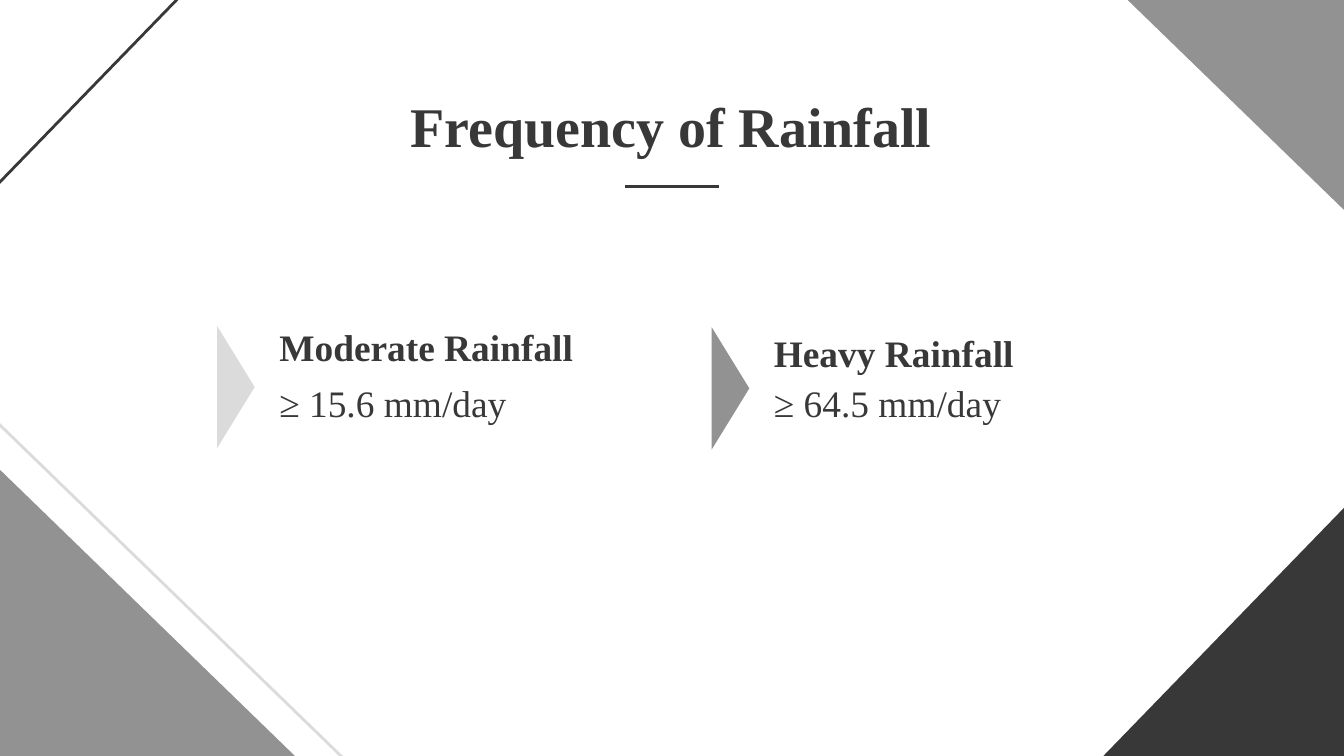
from pptx import Presentation
from pptx.dml.color import RGBColor
from pptx.enum import shapes, text
from pptx.oxml.ns import qn
from pptx.util import Inches, Pt
from lxml import etree

FONT = "Times New Roman"
COLORS = {"dark": "383838", "mid": "929292", "light": "DBDBDB"}
TITLE = "Frequency of Rainfall"

# left, top, width, height, rotation, fill, line
CORNERS = [
    (8, 3.53, 2.31, 2.24, 270, "dark", None),
    (-0.57, 2.61, 3.72, 3.61, 0, None, "light"),
    (-0.81, 2.71, 3.72, 3.61, 0, "mid", None),
    (7.36, -1, 3.72, 3.61, 180, "mid", None),
    (-0.29, -2.07, 3.72, 3.61, 90, None, "dark"),
]

# heading, threshold, left, heading width, heading height, marker top, marker colour
CATEGORIES = [
    ("Moderate Rainfall", "≥ 15.6 mm/day", 1.98, 2.51, 0.3, 2.74, "light"),
    ("Heavy Rainfall", "≥ 64.5 mm/day", 5.66, 2.7, 0.38, 2.75, "mid"),
]
HEADING_TOP, THRESHOLD_TOP = 2.43, 2.73
MARKER_OFFSET = -0.68


def rgb(name):
    return RGBColor.from_string(COLORS[name])


def add_triangle(slide, kind, box, rotation, fill=None, line=None):
    sp = slide.shapes.add_shape(kind, *map(Inches, box))
    sp.rotation = rotation
    sp.shadow.inherit = False
    if fill:
        sp.fill.solid()
        sp.fill.fore_color.rgb = rgb(fill)
    else:
        sp.fill.background()
    if line:
        sp.line.color.rgb = rgb(line)
        sp.line.width = Pt(1.5)
    else:
        sp.line.fill.background()


def add_text(slide, content, box, size=20, bold=False,
             align=text.PP_ALIGN.LEFT, anchor=text.MSO_ANCHOR.TOP):
    tf = slide.shapes.add_textbox(*map(Inches, box)).text_frame
    tf.word_wrap = True
    tf.vertical_anchor = anchor
    tf.margin_left = tf.margin_right = tf.margin_top = tf.margin_bottom = Inches(0.1)
    p = tf.paragraphs[0]
    p.alignment = align
    r = p.add_run()
    r.text = content
    r.font.name = FONT
    r.font.size = Pt(size)
    r.font.bold = bold
    r.font.color.rgb = rgb("dark")


def add_rule(slide, x1, x2, y):
    line = slide.shapes.add_connector(
        shapes.MSO_CONNECTOR.STRAIGHT, Inches(x1), Inches(y), Inches(x2), Inches(y))
    line.line.color.rgb = rgb("dark")
    line.line.width = Pt(1.5)
    etree.SubElement(line._element.spPr, qn("a:effectLst"))


def main():
    prs = Presentation()
    prs.slide_width = Inches(10)
    prs.slide_height = prs.slide_width * 9 // 16
    s = prs.slides.add_slide(prs.slide_layouts[6])

    for *box, rotation, fill, line in CORNERS:
        add_triangle(s, shapes.MSO_SHAPE.RIGHT_TRIANGLE, box, rotation, fill, line)

    for heading, threshold, left, width, height, marker_top, color in CATEGORIES:
        add_text(s, heading, (left, HEADING_TOP, width, height), bold=True,
                 anchor=text.MSO_ANCHOR.MIDDLE)
        add_text(s, threshold, (left, THRESHOLD_TOP, 2.43, 0.64))
        add_triangle(s, shapes.MSO_SHAPE.ISOSCELES_TRIANGLE,
                     (left + MARKER_OFFSET, marker_top, 0.91, 0.28), 90, color)

    add_rule(s, 4.65, 5.35, 1.39)
    add_text(s, TITLE, (0.78, 0.58, 8.43, 0.58), size=30, bold=True,
             align=text.PP_ALIGN.CENTER)
    prs.save("out.pptx")


if __name__ == "__main__":
    main()
